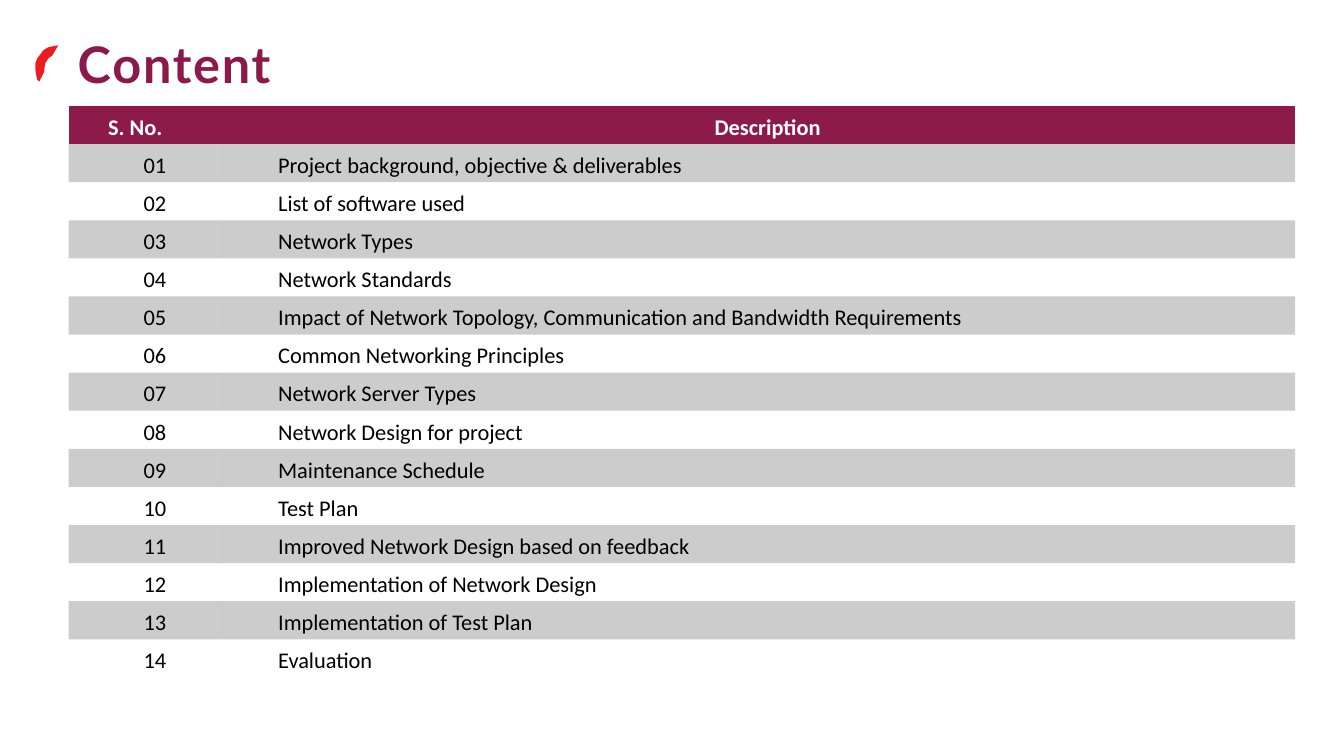
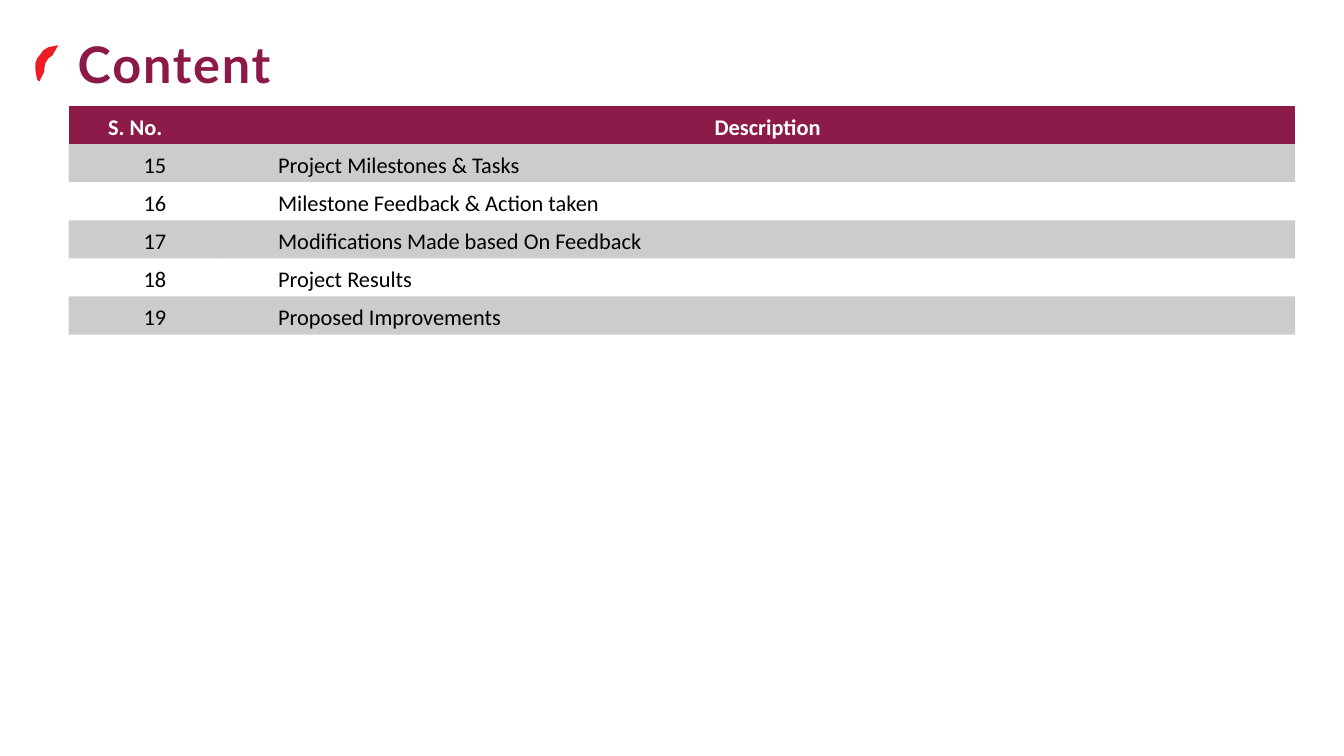
from lxml.etree import SubElement
from pptx import Presentation
from pptx.dml.color import RGBColor
from pptx.enum.text import MSO_ANCHOR, PP_ALIGN
from pptx.oxml.ns import qn
from pptx.util import Cm, Pt

PLUM = RGBColor(0x8B, 0x1A, 0x4A)
HEADER_PLUM = RGBColor(0x8D, 0x1B, 0x4A)
RED = RGBColor(0xEB, 0x1C, 0x23)
BLACK = RGBColor(0, 0, 0)
WHITE = RGBColor(0xFF, 0xFF, 0xFF)

TITLE_FONT = "Lato"
TABLE_FONT = "Calibri"
PLAIN_TABLE_STYLE = "{2D5ABB26-0587-4C30-8999-92F81FD0307C}"
COLUMN_WIDTHS = (Cm(3.86), Cm(27.05))
ROW_HEIGHT = Cm(0.96)

# Hundredths of a centimetre
ACCENT_POINTS = [
    (147, 114), (132, 117), (122, 119), (109, 127), (102, 137), (94, 147),
    (89, 160), (89, 173), (91, 188), (94, 201), (99, 206), (112, 180),
    (112, 173), (114, 160), (122, 147), (132, 140),
]

CONTENT_PAGES = [
    [
        "Project background, objective & deliverables",
        "List of software used",
        "Network Types",
        "Network Standards",
        "Impact of Network Topology, Communication and Bandwidth Requirements",
        "Common Networking Principles",
        "Network Server Types",
        "Network Design for project",
        "Maintenance Schedule",
        "Test Plan",
        "Improved Network Design based on feedback",
        "Implementation of Network Design",
        "Implementation of Test Plan",
        "Evaluation",
    ],
    [
        "Project Milestones & Tasks",
        "Milestone Feedback & Action taken",
        "Modifications Made based On Feedback",
        "Project Results",
        "Proposed Improvements",
    ],
]


def add_accent(slide):
    """Draw the red curved stroke beside the title."""
    builder = slide.shapes.build_freeform(*ACCENT_POINTS[0], scale=Cm(0.01))
    builder.add_line_segments(ACCENT_POINTS[1:], close=True)
    shape = builder.convert_to_shape()
    shape.shadow.inherit = False
    shape.fill.solid()
    shape.fill.fore_color.rgb = RED
    shape.line.fill.background()


def add_title(slide, text):
    frame = slide.shapes.add_textbox(Cm(1.96), Cm(0.81), Cm(5.49), Cm(1.6)).text_frame
    frame.word_wrap = True
    frame.margin_left = frame.margin_right = frame.margin_bottom = 0
    frame.margin_top = Cm(0.03)
    paragraph = frame.paragraphs[0]
    run = paragraph.add_run()
    run.text = text
    font = run.font
    font.name, font.size, font.bold = TITLE_FONT, Pt(36), True
    font.color.rgb = PLUM
    run.font._element.set("spc", "130")


def fill_cell(cell, color, opacity=100):
    cell.fill.solid()
    cell.fill.fore_color.rgb = color
    if opacity < 100:
        color_element = next(cell._tc.tcPr.iter(qn("a:srgbClr")))
        SubElement(color_element, qn("a:alpha"), val=str(opacity * 1000))


def write_cell(cell, text, alignment, left=0, right=0, color=BLACK, bold=False):
    cell.margin_left, cell.margin_right = Cm(left), Cm(right)
    cell.margin_top, cell.margin_bottom = Cm(0.2), 0
    cell.vertical_anchor = MSO_ANCHOR.TOP
    cell.text = text
    paragraph = cell.text_frame.paragraphs[0]
    paragraph.alignment = alignment
    font = paragraph.font
    font.name, font.size, font.bold = TABLE_FONT, Pt(16), bold
    font.color.rgb = color


def add_content_table(slide, descriptions, first_number):
    row_count = len(descriptions) + 1
    frame = slide.shapes.add_table(
        row_count, 2, Cm(1.73), Cm(2.67), sum(COLUMN_WIDTHS), ROW_HEIGHT * row_count
    )
    table = frame.table
    table.horz_banding = False
    table._tbl.tblPr.find(qn("a:tableStyleId")).text = PLAIN_TABLE_STYLE
    for column, width in zip(table.columns, COLUMN_WIDTHS):
        column.width = width
    for row in table.rows:
        row.height = ROW_HEIGHT

    write_cell(table.cell(0, 0), "S. No.", PP_ALIGN.RIGHT, right=1.5, color=WHITE, bold=True)
    write_cell(table.cell(0, 1), "Description", PP_ALIGN.CENTER, left=0.46, color=WHITE, bold=True)
    for cell in table.rows[0].cells:
        fill_cell(cell, HEADER_PLUM)

    for index, description in enumerate(descriptions, start=1):
        number = first_number + index - 1
        write_cell(table.cell(index, 0), f"{number:02d}", PP_ALIGN.RIGHT, right=1.4)
        write_cell(table.cell(index, 1), description, PP_ALIGN.LEFT, left=1.42)
        for cell in table.rows[index].cells:
            if index % 2:
                fill_cell(cell, BLACK, opacity=20)
            else:
                cell.fill.background()


def main():
    presentation = Presentation()
    presentation.slide_width, presentation.slide_height = Cm(33.87), Cm(19.05)
    first_number = 1
    for descriptions in CONTENT_PAGES:
        slide = presentation.slides.add_slide(presentation.slide_layouts[6])
        add_accent(slide)
        add_title(slide, "Content")
        add_content_table(slide, descriptions, first_number)
        first_number += len(descriptions)
    presentation.save("out.pptx")


if __name__ == "__main__":
    main()
